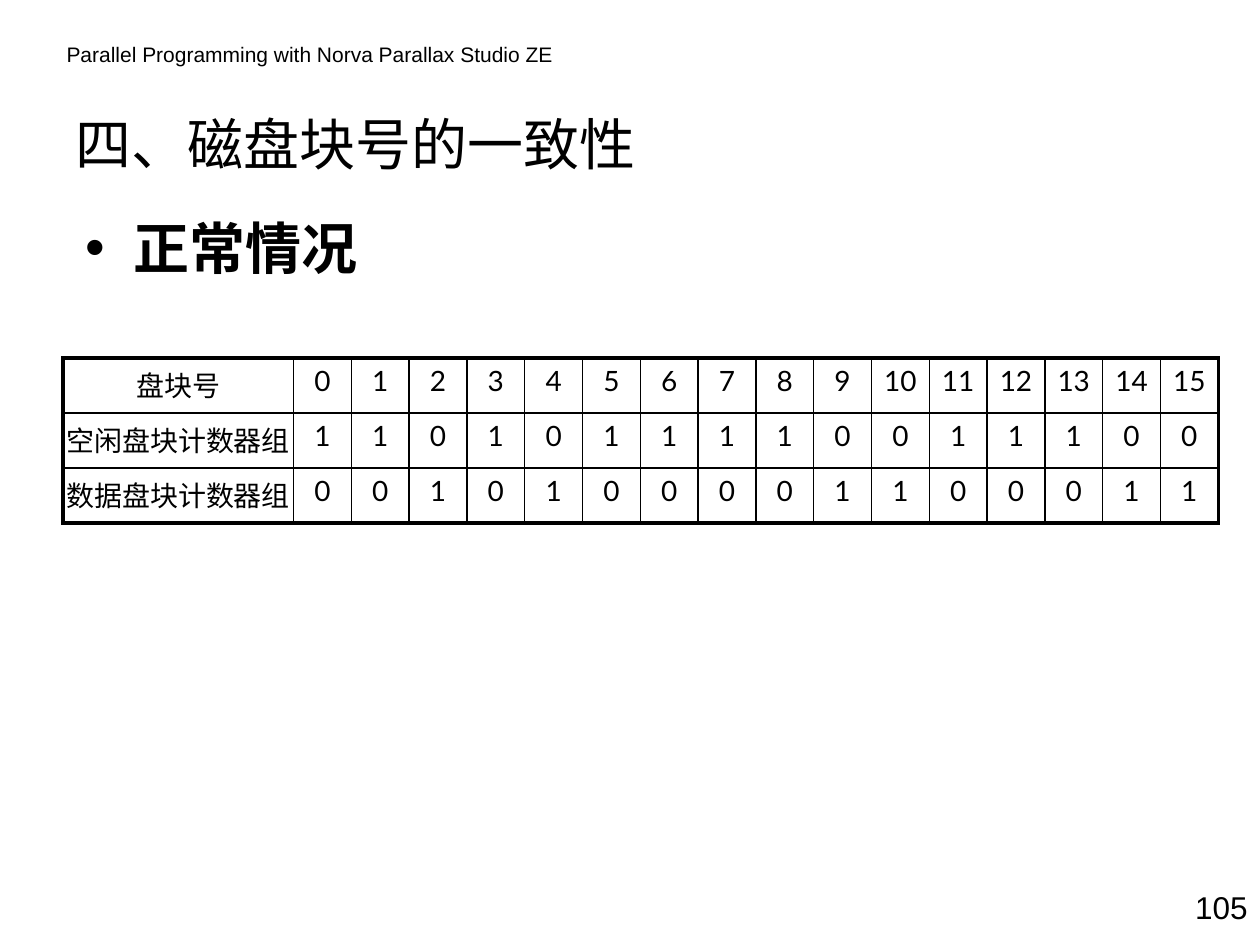
from dataclasses import dataclass

from lxml.etree import SubElement
from pptx import Presentation
from pptx.dml.color import RGBColor
from pptx.enum.text import MSO_ANCHOR, PP_ALIGN
from pptx.oxml.ns import qn
from pptx.util import Inches, Pt


@dataclass(frozen=True)
class Theme:
    ink: str = "000000"
    latin: str = "Arial"
    cjk: str = "Noto Sans CJK SC"
    cell: str = "Lato"
    header_size: int = 12
    heading_size: int = 32
    cell_size: int = 16
    number_size: int = 18
    outer_line: float = 2.25
    inner_line: float = 1


THEME = Theme()

# Free blocks; every other block is in use as data
BLOCK_COUNT = 16
FREE = [1, 1, 0, 1, 0, 1, 1, 1, 1, 0, 0, 1, 1, 1, 0, 0]
ROWS = [
    ["盘块号", *range(BLOCK_COUNT)],
    ["空闲盘块计数器组", *FREE],
    ["数据盘块计数器组", *(1 - n for n in FREE)],
]


def style_run(r, font, size, bold=False):
    r.font.name = font
    r.font.size = Pt(size)
    r.font.bold = bold
    r.font.color.rgb = RGBColor.from_string(THEME.ink)
    SubElement(r.font._element, qn("a:ea")).set("typeface", THEME.cjk)


def add_text(s, box, text, font, size, bold=False, anchor=MSO_ANCHOR.TOP, align=PP_ALIGN.LEFT):
    tf = s.shapes.add_textbox(*map(Inches, box)).text_frame
    tf.word_wrap = True
    tf.vertical_anchor = anchor
    p = tf.paragraphs[0]
    p.text = text
    p.alignment = align
    style_run(p.runs[0], font, size, bold)
    return p


def add_header(s, box):
    add_text(s, box, "Parallel Programming with Norva Parallax Studio ZE",
             THEME.latin, THEME.header_size)


def add_title(s, box):
    add_text(s, box, "四、磁盘块号的一致性", THEME.cjk, THEME.heading_size,
             anchor=MSO_ANCHOR.MIDDLE)


def add_body(s, box):
    p = add_text(s, box, "正常情况", THEME.cjk, THEME.heading_size, bold=True)
    p.line_spacing = 1.1
    pPr = p._p.get_or_add_pPr()
    pPr.set("marL", str(Inches(0.38)))
    pPr.set("indent", str(-Inches(0.38)))
    SubElement(pPr, qn("a:buFont")).set("typeface", THEME.latin)
    SubElement(pPr, qn("a:buChar")).set("char", "•")


def add_page_number(s, box):
    add_text(s, box, "105", THEME.latin, THEME.number_size, align=PP_ALIGN.RIGHT)


def set_borders(cell, outer_sides):
    tcPr = cell._tc.get_or_add_tcPr()
    for side in "LRTB":
        width = THEME.outer_line if side in outer_sides else THEME.inner_line
        ln = SubElement(tcPr, qn(f"a:ln{side}"), w=str(Pt(width)))
        fill = SubElement(ln, qn("a:solidFill"))
        SubElement(fill, qn("a:srgbClr"), val=THEME.ink)


def add_block_table(s, box):
    label_width = 1.83
    last_row, last_col = len(ROWS) - 1, BLOCK_COUNT
    table = s.shapes.add_table(len(ROWS), BLOCK_COUNT + 1, *map(Inches, box)).table
    table.first_row = table.horz_banding = False
    for i, col in enumerate(table.columns):
        col.width = Inches((box[2] - label_width) / BLOCK_COUNT if i else label_width)

    for i, values in enumerate(ROWS):
        for j, value in enumerate(values):
            cell = table.cell(i, j)
            edges = {"L": j == 0, "R": j == last_col, "T": i == 0, "B": i == last_row}
            set_borders(cell, [side for side, outer in edges.items() if outer])
            cell.fill.background()
            cell.margin_left = cell.margin_right = 0
            cell.margin_top = cell.margin_bottom = Inches(0.05)
            p = cell.text_frame.paragraphs[0]
            p.text = str(value)
            p.alignment = PP_ALIGN.CENTER
            style_run(p.runs[0], THEME.cell, THEME.cell_size)


def main():
    prs = Presentation()
    prs.slide_width, prs.slide_height = Inches(10), Inches(7.5)
    s = prs.slides.add_slide(prs.slide_layouts[6])
    add_header(s, (0.43, 0.28, 4.1, 0.3))
    add_title(s, (0.5, 0.76, 7.17, 0.75))
    add_body(s, (0.58, 1.59, 9.17, 4.5))
    add_page_number(s, (9.17, 7, 0.83, 0.5))
    add_block_table(s, (0.5, 2.84, 9.17, 1.31))
    prs.save("out.pptx")


if __name__ == "__main__":
    main()
